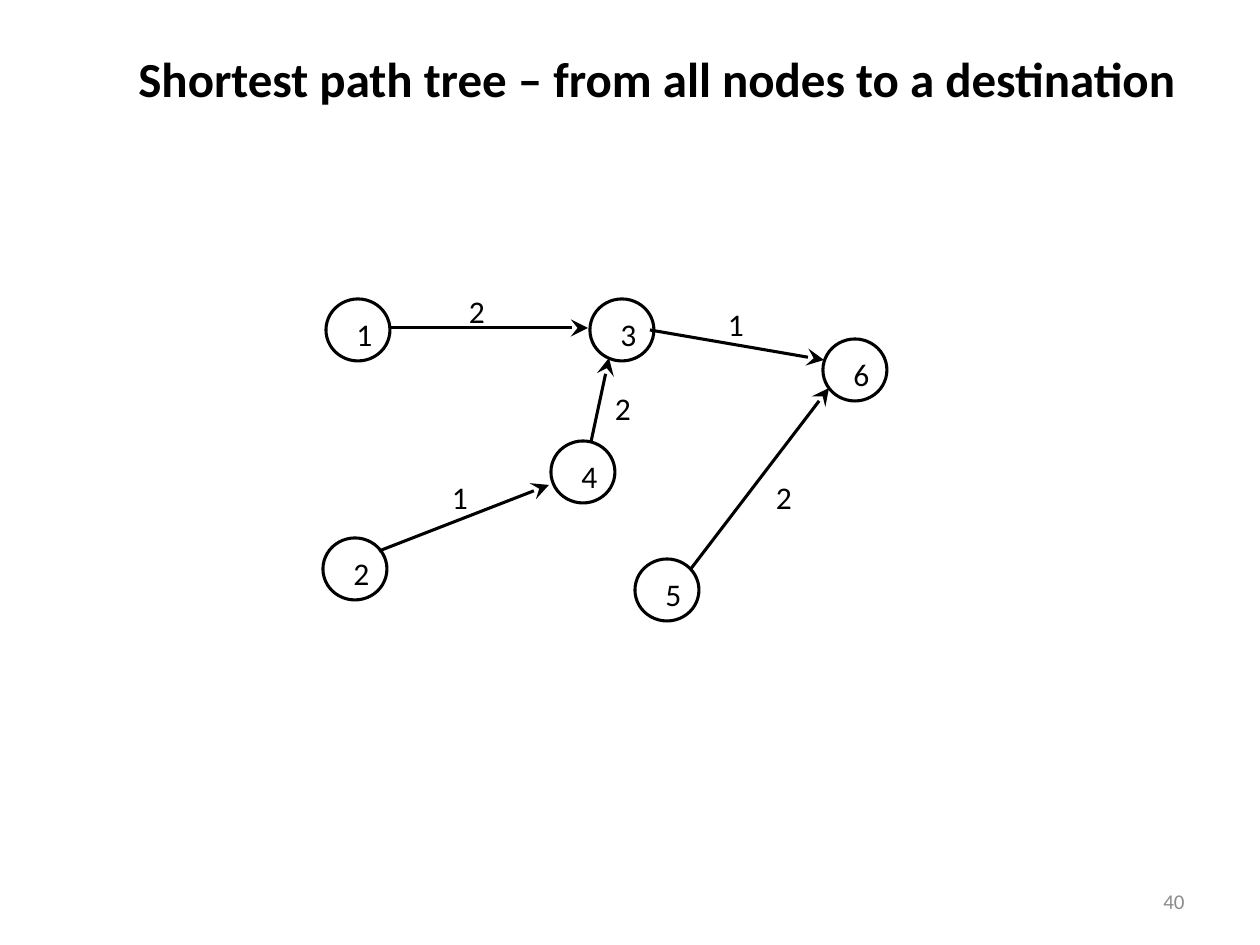
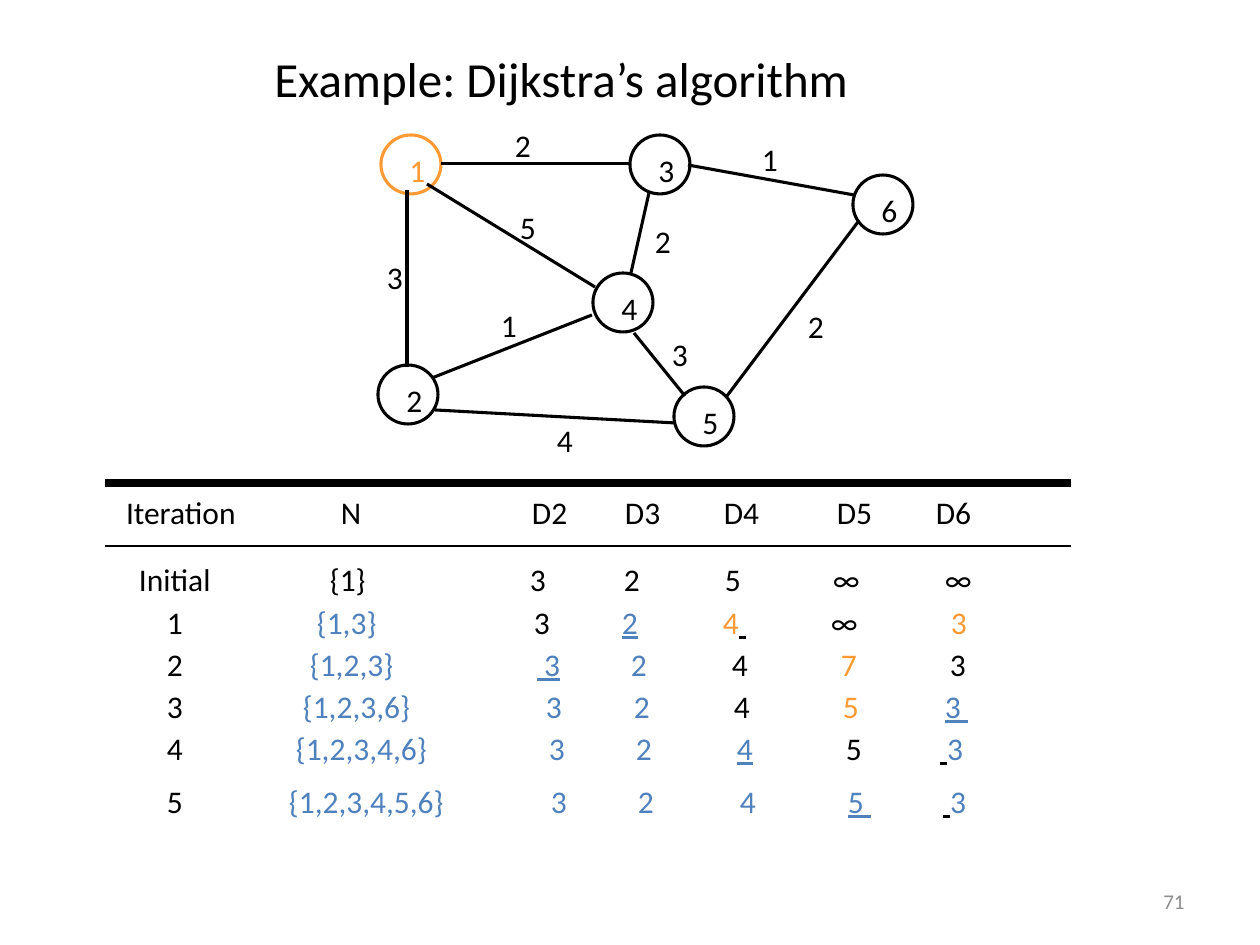
from lxml import etree
from pptx import Presentation
from pptx.dml.color import RGBColor
from pptx.enum.shapes import MSO_CONNECTOR, MSO_SHAPE
from pptx.enum.text import MSO_ANCHOR, PP_ALIGN
from pptx.oxml.ns import qn
from pptx.util import Inches, Pt

PX = 914400 // 126
FONT = "Calibri"
COLORS = {
    "black": "000000",
    "gray": "8C8C8C",
    "blue": "4F81BD",
    "orange": "FF9933",
}


def add_text(slide, text, box, size=18, color="black", bold=False,
             align=PP_ALIGN.LEFT, inset=True, wrap=False):
    shape = slide.shapes.add_textbox(*[length * PX for length in box])
    frame = shape.text_frame
    frame.word_wrap = wrap
    frame.vertical_anchor = MSO_ANCHOR.MIDDLE if wrap else MSO_ANCHOR.TOP
    if not inset:
        frame.margin_left = frame.margin_right = 0
        frame.margin_top = frame.margin_bottom = 0
    paragraph = frame.paragraphs[0]
    paragraph.text = text
    paragraph.alignment = align
    paragraph.font.name = FONT
    paragraph.font.size = Pt(size)
    paragraph.font.bold = bold
    paragraph.font.color.rgb = RGBColor.from_string(COLORS[color])


def add_line(slide, start, end, width=1.75, arrow=False):
    points = [length * PX for length in (*start, *end)]
    connector = slide.shapes.add_connector(MSO_CONNECTOR.STRAIGHT, *points)
    connector.line.width = Pt(width)
    connector.line.color.rgb = RGBColor.from_string(COLORS["black"])
    if arrow:
        etree.SubElement(connector.line._get_or_add_ln(), qn("a:tailEnd"),
                         type="stealth", w="lg", len="lg")
    etree.SubElement(connector._element.spPr, qn("a:effectLst"))


# Nodes: name -> left, top. Edges: weight, start, end, weight label's left, top.
GRAPHS = [
    {
        "title": "Shortest path tree – from all nodes to a destination",
        "title_box": (126, 42, 1084, 72),
        "bold": True,
        "number": "40",
        "node_size": (64, 62),
        "directed": True,
        "source": None,
        "nodes": {"1": (326, 299), "2": (323, 538), "3": (590, 299),
                  "4": (551, 441), "5": (635, 559), "6": (823, 339)},
        "edges": [
            ("2", (391, 328), (588, 328), (469, 292)),
            ("2", (591, 442), (609, 358), (615, 389)),
            ("1", (650, 330), (824, 360), (728, 305)),
            ("2", (690, 570), (829, 388), (776, 478)),
            ("1", (379, 551), (549, 485), (452, 478)),
        ],
    },
    {
        "title": "Example: Dijkstra’s algorithm",
        "title_box": (262, 42, 621, 72),
        "bold": False,
        "number": "71",
        "node_size": (60, 59),
        "directed": False,
        "source": "1",
        "nodes": {"1": (381, 135), "2": (378, 365), "3": (630, 135),
                  "4": (593, 273), "5": (674, 387), "6": (853, 175)},
        "edges": [
            ("2", (441, 164), (630, 164), (515, 126)),
            ("2", (649, 193), (631, 273), (655, 222)),
            ("3", (634, 333), (685, 396), (672, 335)),
            ("1", (688, 165), (854, 195), (762, 140)),
            ("2", (727, 396), (858, 222), (808, 307)),
            ("4", (435, 410), (675, 423), (557, 421)),
            ("3", (407, 190), (407, 367), (387, 258)),
            ("5", (427, 184), (595, 287), (520, 208)),
            ("1", (432, 378), (592, 315), (501, 306)),
        ],
    },
]

presentation = Presentation()
presentation.slide_width = Inches(10)
presentation.slide_height = Inches(7.5)

for graph in GRAPHS:
    slide = presentation.slides.add_slide(presentation.slide_layouts[6])
    add_text(slide, graph["number"], (903, 876, 294, 50), size=12, color="gray",
             align=PP_ALIGN.RIGHT, wrap=True)
    add_text(slide, graph["title"], graph["title_box"], size=28, bold=graph["bold"])

    for name, position in graph["nodes"].items():
        color = "orange" if name == graph["source"] else "black"
        rgb = RGBColor.from_string(COLORS[color])
        box = [length * PX for length in (*position, *graph["node_size"])]
        node = slide.shapes.add_shape(MSO_SHAPE.OVAL, *box)
        node.shadow.inherit = False
        node.fill.background()
        node.line.color.rgb = rgb
        node.line.width = Pt(1.75)
        frame = node.text_frame
        frame.word_wrap = False
        frame.vertical_anchor = MSO_ANCHOR.TOP
        frame.margin_left, frame.margin_top = 13 * PX, 7 * PX
        frame.margin_right = frame.margin_bottom = 0
        paragraph = frame.paragraphs[0]
        paragraph.text = name
        paragraph.alignment = PP_ALIGN.CENTER
        paragraph.font.name = FONT
        paragraph.font.size = Pt(18)
        paragraph.font.color.rgb = rgb

    for weight, start, end, label in graph["edges"]:
        add_line(slide, start, end, arrow=graph["directed"])
        add_text(slide, weight, (*label, 15, 38), align=PP_ALIGN.CENTER, inset=False)

# Distance table, on the last slide. A cell is a text start and its runs;
# a run opens with its style letter, upper case for underlined.
RUN_COLORS = {"k": "black", "b": "blue", "o": "orange"}
COLUMN_EDGES = [105, 280, 520, 605, 700, 820, 925, 1071]
TABLE_TOP = 483
ROW_HEIGHTS = [50, 67, 43, 42, 42, 42, 53]
ROWS = [
    [(126, "kIteration"), (341, "kN"), (532, "kD2"), (625, "kD3"),
     (724, "kD4"), (837, "kD5"), (936, "kD6")],
    [(139, "kInitial"), (330, "k{1}"), (530, "k3"), (624, "k2"),
     (725, "k5"), (833, "k∞"), (945, "k∞")],
    [(167, "k1"), (317, "b{1,3}"), (534, "k3"), (622, "B2"),
     (723, "o4|K "), (831, "k∞"), (951, "o3")],
    [(167, "k2"), (310, "b{1,2,3}"), (537, "B 3"), (631, "b2"),
     (732, "k4"), (841, "o7"), (950, "k3")],
    [(167, "k3"), (303, "b{1,2,3,6}"), (546, "b3"), (634, "b2"),
     (734, "k4"), (843, "o5"), (945, "B3 ")],
    [(167, "k4"), (296, "b{1,2,3,4,6}"), (549, "b3"), (636, "b2"),
     (737, "B4"), (846, "k5"), (940, "K |b3")],
    [(167, "k5"), (289, "b{1,2,3,4,5,6}"), (551, "b3"), (638, "b2"),
     (740, "b4"), (848, "B5 "), (943, "K |b3")],
]

left, right = COLUMN_EDGES[0], COLUMN_EDGES[-1]
table = slide.shapes.add_table(
    len(ROWS), len(COLUMN_EDGES) - 1, left * PX, TABLE_TOP * PX,
    (right - left) * PX, sum(ROW_HEIGHTS) * PX).table
table.first_row = table.horz_banding = False
for column, start, end in zip(table.columns, COLUMN_EDGES, COLUMN_EDGES[1:]):
    column.width = (end - start) * PX

for row, height, entries in zip(table.rows, ROW_HEIGHTS, ROWS):
    row.height = height * PX
    for cell, column_left, (text_left, runs) in zip(row.cells, COLUMN_EDGES, entries):
        cell.fill.background()
        cell.vertical_anchor = MSO_ANCHOR.BOTTOM
        cell.margin_left = (text_left - column_left) * PX
        cell.margin_right = cell.margin_top = cell.margin_bottom = 0
        paragraph = cell.text_frame.paragraphs[0]
        paragraph.font.name = FONT
        paragraph.font.size = Pt(18)
        for part in runs.split("|"):
            run = paragraph.add_run()
            run.text = part[1:]
            color = COLORS[RUN_COLORS[part[0].lower()]]
            run.font.color.rgb = RGBColor.from_string(color)
            run.font.underline = part[0].isupper()

add_line(slide, (left, TABLE_TOP), (right, TABLE_TOP), width=4.5)
add_line(slide, (left, 546), (right, 546), width=0.75)

presentation.save("out.pptx")
